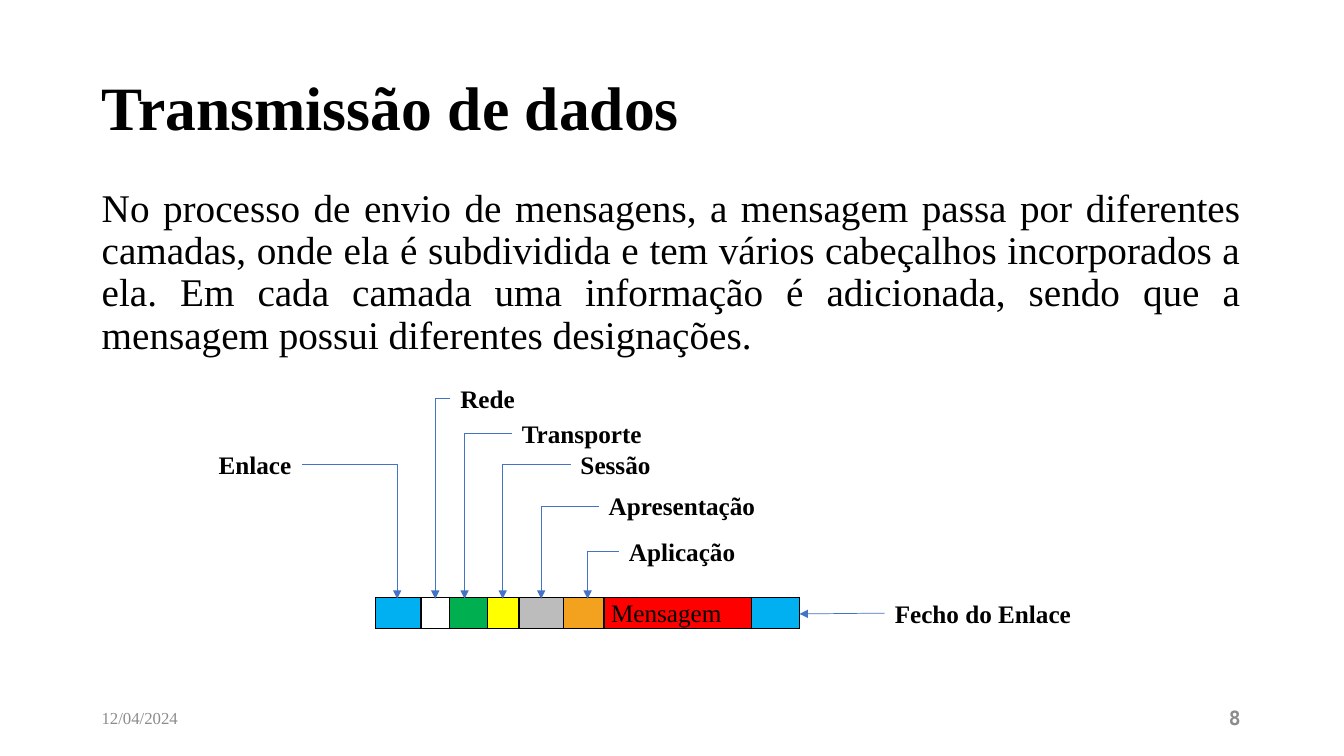
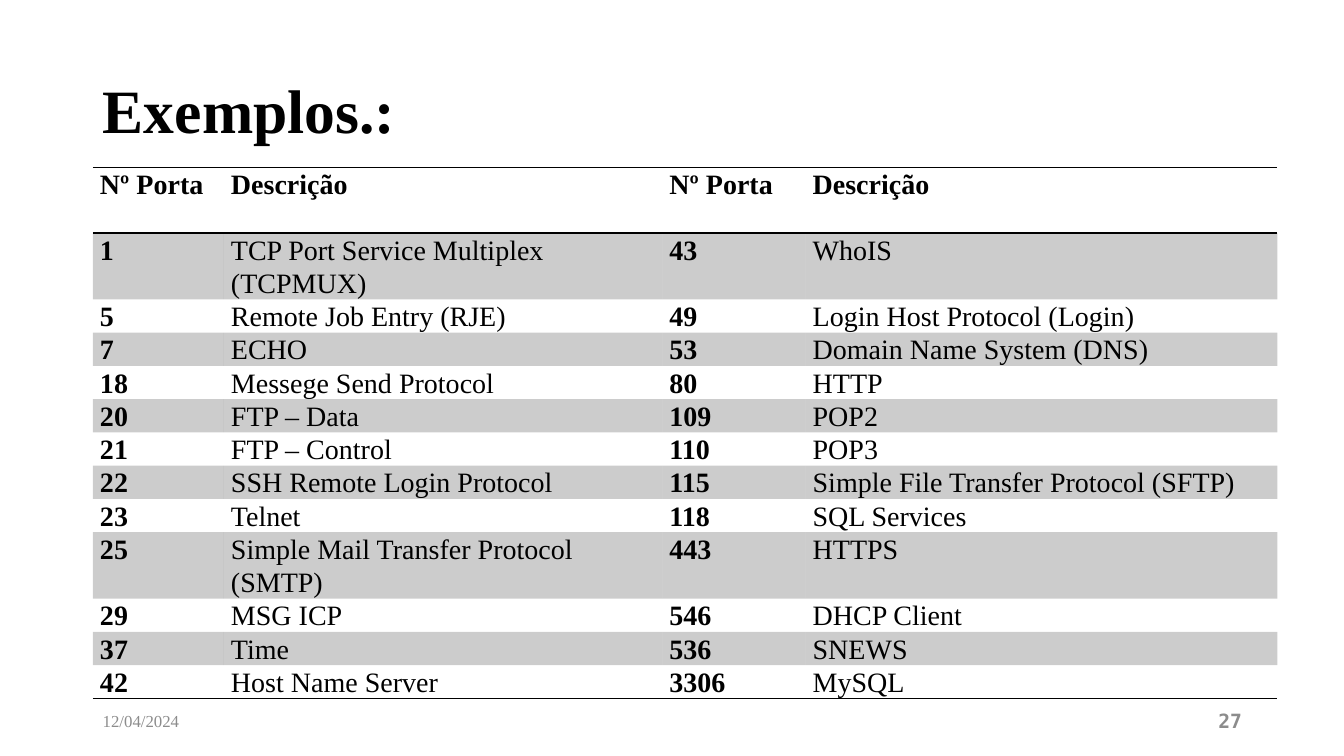
from dataclasses import dataclass

import pptx
import pptx.dml.color
import pptx.enum.shapes
import pptx.enum.text
import pptx.oxml
import pptx.oxml.ns
import pptx.util

Cm, Pt = pptx.util.Cm, pptx.util.Pt
qn = pptx.oxml.ns.qn
ALIGN = pptx.enum.text.PP_ALIGN
ANCHOR = pptx.enum.text.MSO_ANCHOR
FIT = pptx.enum.text.MSO_AUTO_SIZE
CONNECTOR = pptx.enum.shapes.MSO_CONNECTOR


@dataclass(frozen=True)
class Theme:
    serif: str = "Times New Roman"
    mono: str = "DejaVu Sans Mono"
    ink: str = "000000"
    muted: str = "8C8C8C"
    arrow: str = "4472C4"
    title: int = 44
    body: int = 28
    table: int = 20
    label: int = 18
    number: int = 14
    date: int = 12
    width: float = 29.21
    no_grid: str = "{2D5ABB26-0587-4C30-8999-92F81FD0307C}"


T = Theme()
DATE = "12/04/2024"
LABEL_HEIGHT = 1.02
ARROW_TIP = 15.09

# width in cm, fill, text
FRAME_FIELDS = [
    (1.14, "00B0F0", ""), (0.71, None, ""), (0.97, "00B050", ""),
    (0.79, "FFFF00", ""), (1.12, "BCBCBC", ""), (1.02, "F3A21F", ""),
    (3.71, "FF0000", "Mensagem"), (1.22, "00B0F0", ""),
]

# text, left, top, width, side the arrow leaves from, x of the arrow tip
LAYERS = [
    ("Aplicação", 15.6, 13.39, 3.23, "left", 14.81),
    ("Apresentação", 15.09, 12.24, 4.24, "left", 13.64),
    ("Sessão", 14.38, 11.2, 2.29, "left", 12.67),
    ("Transporte", 12.9, 10.41, 3.56, "left", 11.71),
    ("Rede", 11.35, 9.53, 1.91, "left", 10.97),
    ("Enlace", 5.26, 11.2, 2.36, "right", 10.01),
]

PORTS = [
    ("Nº Porta", "Descrição", "Nº Porta", "Descrição"),
    ("1", "TCP Port Service Multiplex (TCPMUX)", "43", "WhoIS"),
    ("5", "Remote Job Entry (RJE)", "49", "Login Host Protocol (Login)"),
    ("7", "ECHO", "53", "Domain Name System (DNS)"),
    ("18", "Messege Send Protocol", "80", "HTTP"),
    ("20", "FTP – Data", "109", "POP2"),
    ("21", "FTP – Control", "110", "POP3"),
    ("22", "SSH Remote Login Protocol", "115",
     "Simple File Transfer Protocol (SFTP)"),
    ("23", "Telnet", "118", "SQL Services"),
    ("25", "Simple Mail Transfer Protocol (SMTP)", "443", "HTTPS"),
    ("29", "MSG ICP", "546", "DHCP Client"),
    ("37", "Time", "536", "SNEWS"),
    ("42", "Host Name Server", "3306", "MySQL"),
]
PORT_WIDTHS = [3.3, 11.05, 3.61, 11.89]
TALL_ROWS = {0, 1, 9}


def rgb(value):
    return pptx.dml.color.RGBColor.from_string(value)


def place(sp, *box):
    for name, value in zip(("left", "top", "width", "height"), box):
        setattr(sp, name, Cm(value))


def write(tf, text, size, bold=False, color=T.ink, font=T.serif, **paragraph):
    """Put one formatted run in the frame; extra values go to its paragraph."""
    p = tf.paragraphs[0]
    for name, value in paragraph.items():
        setattr(p, name, value)
    r = p.add_run()
    r.text = text
    for name, value in {"size": Pt(size), "bold": bold, "name": font}.items():
        setattr(r.font, name, value)
    r.font.color.rgb = rgb(color)
    return p


def add_title(s, text, left, top):
    sp = s.shapes.title
    place(sp, left, top, T.width, 3.68)
    sp.text_frame.auto_size = FIT.NONE
    sp.text_frame.vertical_anchor = ANCHOR.MIDDLE
    write(sp.text_frame, text, T.title, True,
          alignment=ALIGN.LEFT, line_spacing=0.9)


def add_body(s, text):
    sp = s.placeholders[1]
    place(sp, 2.31, 4.62, T.width, 12.09)
    sp.text_frame.auto_size = FIT.NONE
    p = write(sp.text_frame, text, T.body, alignment=ALIGN.JUSTIFY,
              line_spacing=0.9, space_before=Pt(0))
    pPr = p._p.get_or_add_pPr()
    pPr.set("marL", "0")
    pPr.set("indent", "0")
    pptx.oxml.ns.qn("a:buNone")
    pPr.append(pptx.oxml.parse_xml(
        f"<a:buNone {pptx.oxml.ns.nsdecls('a')}/>"))


def add_text(s, box, text, size, anchor=ANCHOR.TOP, wrap=True, **style):
    sp = s.shapes.add_textbox(*map(Cm, box))
    tf = sp.text_frame
    tf.word_wrap = wrap
    tf.auto_size = FIT.NONE if wrap else FIT.SHAPE_TO_FIT_TEXT
    tf.vertical_anchor = anchor
    write(tf, text, size, **style)
    return sp


def add_footer(s, number, left, top):
    width, height = 7.62, 1.02
    add_text(s, (left, top, width, height), DATE, T.date, ANCHOR.MIDDLE,
             color=T.muted)
    add_text(s, (left + T.width - width, top, width, height), number, T.number,
             ANCHOR.MIDDLE, bold=True, color=T.muted, font=T.mono,
             alignment=ALIGN.RIGHT)


def add_label(s, text, left, top, width):
    return add_text(s, (left, top, width, LABEL_HEIGHT), text, T.label,
                    wrap=False, bold=True)


def add_arrow(s, start, end, kind=CONNECTOR.STRAIGHT):
    c = s.shapes.add_connector(kind, *map(Cm, (*start, *end)))
    c.line.width = Pt(0.5)
    c.line.color.rgb = rgb(T.arrow)
    spPr = c._element.spPr
    if kind == CONNECTOR.ELBOW:
        spPr.find(qn("a:prstGeom")).set("prst", "bentConnector2")
    tail = pptx.oxml.ns.nsdecls("a")
    c.line._get_or_add_ln().append(
        pptx.oxml.parse_xml(f'<a:tailEnd {tail} type="triangle"/>'))
    spPr.append(pptx.oxml.parse_xml(f"<a:effectLst {tail}/>"))
    return c


def add_grid(s, left, top, widths, heights):
    """Add a table without style, borders or fills."""
    frame = s.shapes.add_table(len(heights), len(widths), Cm(left), Cm(top),
                               Cm(sum(widths)), Cm(sum(heights)))
    table = frame.table
    table.first_row = table.horz_banding = False
    table._tbl.tblPr.find(qn("a:tableStyleId")).text = T.no_grid
    for column, width in zip(table.columns, widths):
        column.width = Cm(width)
    for row, height in zip(table.rows, heights):
        row.height = Cm(height)
    return table


def format_cell(cell, text, size, bold=False, sides="", fill=None, alpha=None):
    """Fill a cell; sides holds the letters (L, R, T, B) of its borders."""
    margins = {"left": 0.18, "right": 0.18, "top": 0, "bottom": 0}
    for side, value in margins.items():
        setattr(cell, f"margin_{side}", Cm(value))
    tcPr = cell._tc.get_or_add_tcPr()
    for side in sides:
        tcPr.append(pptx.oxml.parse_xml(
            f'<a:ln{side} {pptx.oxml.ns.nsdecls("a")} w="{Pt(1)}"><a:solidFill>'
            f'<a:srgbClr val="{T.ink}"/></a:solidFill></a:ln{side}>'))
    if fill:
        cell.fill.solid()
        cell.fill.fore_color.rgb = rgb(fill)
    else:
        cell.fill.background()
    if alpha:
        tcPr.find(".//" + qn("a:solidFill") + "[last()]/" + qn("a:srgbClr")).append(
            pptx.oxml.parse_xml(
                f'<a:alpha {pptx.oxml.ns.nsdecls("a")} val="{alpha * 1000}"/>'))
    if text:
        write(cell.text_frame, text, size, bold, line_spacing=1.07)


def add_frame_diagram(s):
    left, top, height = 9.47, 15.06, 0.76
    widths = [width for width, _, _ in FRAME_FIELDS]
    table = add_grid(s, left, top, widths, [height])
    for cell, (_, fill, text) in zip(table.iter_cells(), FRAME_FIELDS):
        format_cell(cell, text, T.label, sides="LRTB", fill=fill)

    closing = add_label(s, "Fecho do Enlace", 22.3, 14.94, 5)
    arrow = add_arrow(s, (22.3, 15.45), (left + sum(widths), 15.47))
    arrow.begin_connect(closing, 1)

    for text, x, y, width, side, tip in LAYERS:
        add_label(s, text, x, y, width)
        start = x if side == "left" else x + width
        add_arrow(s, (start, y + LABEL_HEIGHT / 2), (tip, ARROW_TIP),
                  CONNECTOR.ELBOW)


def add_port_table(s):
    heights = [1.65 if i in TALL_ROWS else 0.79 for i in range(len(PORTS))]
    table = add_grid(s, 2.34, 4.22, PORT_WIDTHS, heights)
    borders = {0: "TB", len(PORTS) - 1: "B"}
    for i, row in enumerate(PORTS):
        band = {"fill": T.ink, "alpha": 20} if i % 2 else {}
        for j, text in enumerate(row):
            format_cell(table.cell(i, j), text, T.table,
                        bold=i == 0 or j % 2 == 0,
                        sides=borders.get(i, ""), **band)


def add_transmission_slide(prs):
    s = prs.slides.add_slide(prs.slide_layouts[1])
    add_title(s, "Transmissão de dados", 2.31, 0.94)
    add_body(s, "No processo de envio de mensagens, a mensagem passa por "
                "diferentes camadas, onde ela é subdividida e tem vários "
                "cabeçalhos incorporados a ela. Em cada camada uma informação "
                "é adicionada, sendo que a mensagem possui diferentes "
                "designações.")
    add_footer(s, "8", 2.31, 17.58)
    add_frame_diagram(s)


def add_ports_slide(prs):
    s = prs.slides.add_slide(prs.slide_layouts[5])
    add_title(s, "Exemplos.:", 2.34, 1.02)
    add_port_table(s)
    add_footer(s, "27", 2.34, 17.65)


def main():
    prs = pptx.Presentation()
    prs.slide_width, prs.slide_height = Cm(33.87), Cm(19.05)
    add_transmission_slide(prs)
    add_ports_slide(prs)
    prs.save("out.pptx")


if __name__ == "__main__":
    main()
